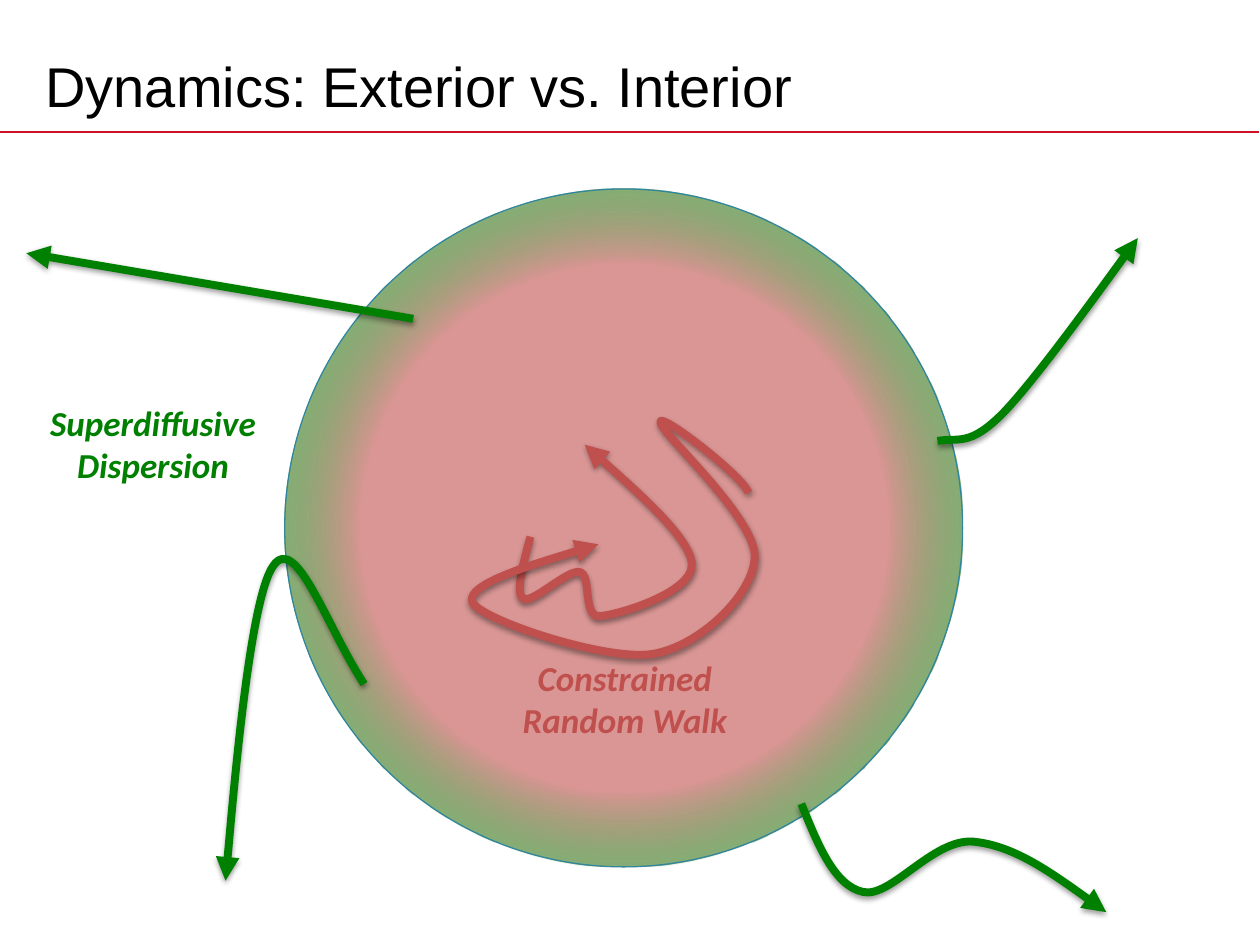
"""Build the slide comparing exterior and interior dynamics of a sphere."""
from lxml import etree
from pptx import Presentation
from pptx.dml.color import RGBColor
from pptx.enum.shapes import MSO_CONNECTOR, MSO_SHAPE
from pptx.enum.text import MSO_ANCHOR, MSO_AUTO_SIZE, PP_ALIGN
from pptx.oxml import parse_xml
from pptx.oxml.ns import nsdecls, qn
from pptx.util import Inches, Pt

STRAIGHT = MSO_CONNECTOR.STRAIGHT
OVAL = MSO_SHAPE.OVAL
MIDDLE = MSO_ANCHOR.MIDDLE
FIT_SHAPE = MSO_AUTO_SIZE.SHAPE_TO_FIT_TEXT
LEFT, CENTER = PP_ALIGN.LEFT, PP_ALIGN.CENTER

THEME = {
    "title": "000000", "rule": "CE1126", "outline": "31859C", "core": "D99694",
    "interior": "C0504D", "exterior": "008000",
    "title_font": "Arial", "label_font": "Calibri",
    "title_size": 32, "label_size": 20,
    "rule_width": 1, "outline_width": 0.75, "path_width": 4.5,
}

TITLE = ("Dynamics: Exterior vs. Interior", (0.26, 0.3, 9, 0.75))
RULE = (0, 1.05, 9.99, 1.05)
SPHERE = (2.26, 1.5, 5.38, 5.38)

PATHS = [
    ("interior", [(4.21, 4.26),
                  (4.15, 4.48), (4.09, 4.7), (4.15, 4.75),
                  (4.22, 4.8), (4.5, 4.52), (4.6, 4.54),
                  (4.7, 4.56), (4.62, 4.9), (4.76, 4.89),
                  (4.91, 4.88), (5.51, 4.7), (5.49, 4.47),
                  (5.47, 4.25), (4.64, 3.53), (4.64, 3.53)]),
    ("interior", [(5.94, 3.91),
                  (5.91, 3.79), (5.23, 3.26), (5.24, 3.35),
                  (5.24, 3.43), (6, 4.11), (5.99, 4.42),
                  (5.98, 4.72), (5.55, 5.13), (5.18, 5.19),
                  (4.81, 5.25), (3.82, 4.92), (3.75, 4.78),
                  (3.68, 4.63), (4.75, 4.32), (4.75, 4.32)]),
    ("exterior", [(7.44, 3.5),
                  (7.61, 3.47), (7.69, 3.55), (7.96, 3.28),
                  (8.22, 3.01), (9.03, 1.89), (9.03, 1.89)]),
    ("exterior", [(3.28, 2.53), (0.21, 2.01)]),
    ("exterior", [(2.89, 5.43),
                  (2.59, 4.97), (2.35, 4.23), (2.17, 4.49),
                  (1.98, 4.75), (1.79, 6.99), (1.79, 6.99)]),
    ("exterior", [(6.36, 6.38),
                  (6.49, 6.7), (6.62, 7.03), (6.85, 7.08),
                  (7.07, 7.13), (7.4, 6.66), (7.72, 6.68),
                  (8.04, 6.71), (8.41, 6.97), (8.78, 7.24)]),
]

LABELS = [
    ("interior", "Constrained\nRandom Walk", (4.01, 5.16, 1.9, 0.77)),
    ("exterior", "Superdiffusive\nDispersion", (0.26, 3.14, 1.91, 0.77)),
]

GRADIENT = f"""<a:gradFill {nsdecls("a")} rotWithShape="1"><a:gsLst>
<a:gs pos="55000"><a:srgbClr val="{THEME["core"]}"/></a:gs>
<a:gs pos="79000"><a:srgbClr val="{THEME["exterior"]}"><a:alpha val="50000"/></a:srgbClr></a:gs>
</a:gsLst><a:path path="circle"><a:fillToRect l="50000" t="50000" r="50000" b="50000"/></a:path>
</a:gradFill>"""

SHADOW = f"""<a:outerShdw {nsdecls("a")} blurRad="40000" dist="20000" dir="5400000" rotWithShape="0">
<a:srgbClr val="000000"><a:alpha val="38000"/></a:srgbClr></a:outerShdw>"""


def color(name):
    return RGBColor.from_string(THEME[name])


def inches(values):
    return [Inches(value) for value in values]


def style_line(shape, color_name, width_name):
    shape.line.color.rgb = color(color_name)
    shape.line.width = Pt(THEME[width_name])


def style_text(text_frame, role, color_name, alignment, emphasis):
    for paragraph in text_frame.paragraphs:
        paragraph.alignment = alignment
        for run in paragraph.runs:
            run.font.name = THEME[f"{role}_font"]
            run.font.size = Pt(THEME[f"{role}_size"])
            run.font.color.rgb = color(color_name)
            run.font.bold = run.font.italic = emphasis


def add_title(slide):
    text, box = TITLE
    title = slide.shapes.title
    title.left, title.top, title.width, title.height = inches(box)
    title.text_frame.text = text
    title.text_frame.vertical_anchor = MIDDLE
    style_text(title.text_frame, "title", "title", LEFT, False)


def add_rule(slide):
    rule = slide.shapes.add_connector(STRAIGHT, *inches(RULE))
    style_line(rule, "rule", "rule_width")
    etree.SubElement(rule.element.spPr, qn("a:effectLst"))


def add_sphere(slide):
    sphere = slide.shapes.add_shape(OVAL, *inches(SPHERE))
    sphere.shadow.inherit = False
    style_line(sphere, "outline", "outline_width")
    sphere.fill.background()
    properties = sphere.element.spPr
    properties.replace(properties.find(qn("a:noFill")), parse_xml(GRADIENT))


def bend_segments(shape):
    """Merge each three line segments into one cubic curve."""
    segments = list(shape.element.iter(qn("a:lnTo")))
    for index in range(0, len(segments) - 2, 3):
        curve = etree.Element(qn("a:cubicBezTo"))
        segments[index].addprevious(curve)
        for segment in segments[index:index + 3]:
            curve.append(segment[0])
            segment.getparent().remove(segment)


def add_path(slide, color_name, points):
    start, *others = [inches(point) for point in points]
    builder = slide.shapes.build_freeform(*start)
    builder.add_line_segments(others, close=False)
    arrow = builder.convert_to_shape()
    bend_segments(arrow)
    arrow.fill.background()
    style_line(arrow, color_name, "path_width")
    arrow.shadow.inherit = False
    properties = arrow.element.spPr
    etree.SubElement(properties.find(qn("a:ln")), qn("a:tailEnd"), type="triangle")
    properties.find(qn("a:effectLst")).append(parse_xml(SHADOW))


def add_label(slide, color_name, text, box):
    text_frame = slide.shapes.add_textbox(*inches(box)).text_frame
    text_frame.text = text
    text_frame.word_wrap = False
    text_frame.auto_size = FIT_SHAPE
    style_text(text_frame, "label", color_name, CENTER, True)


def main():
    presentation = Presentation()
    presentation.slide_width, presentation.slide_height = inches((10, 7.5))
    slide = presentation.slides.add_slide(presentation.slide_layouts[5])
    add_rule(slide)
    add_title(slide)
    add_sphere(slide)
    for path_data in PATHS:
        add_path(slide, *path_data)
    for label in LABELS:
        add_label(slide, *label)
    presentation.save("out.pptx")


if __name__ == "__main__":
    main()
